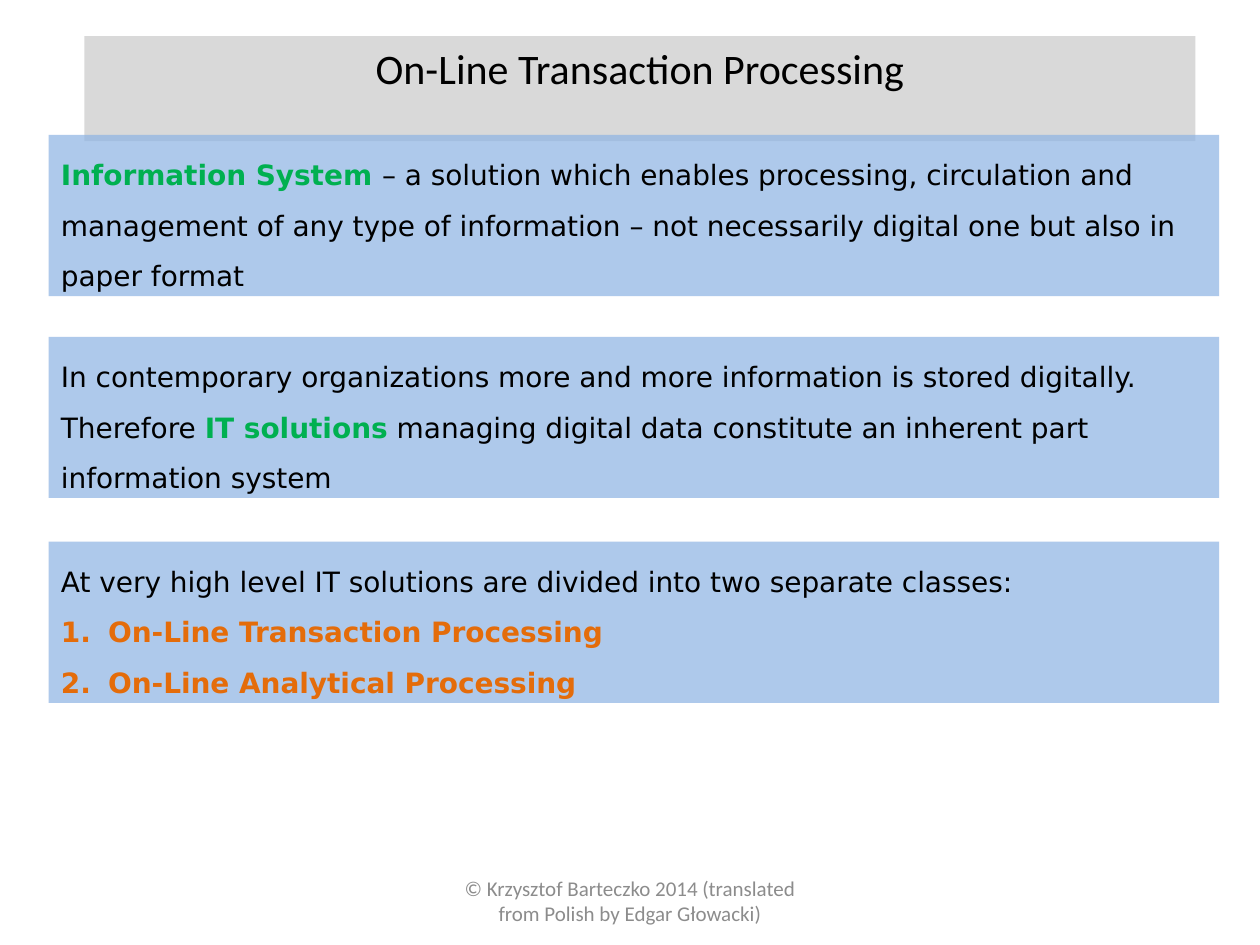
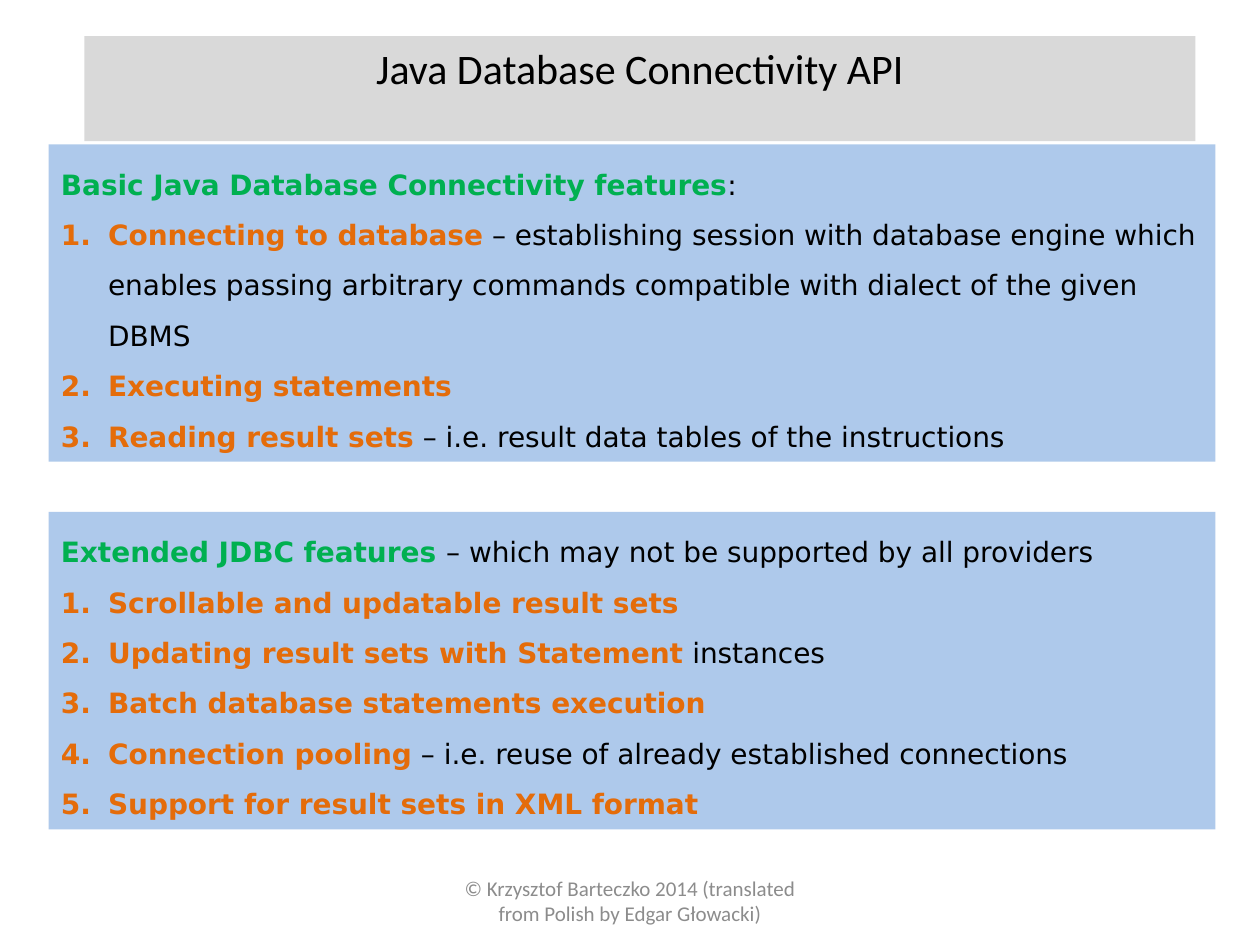
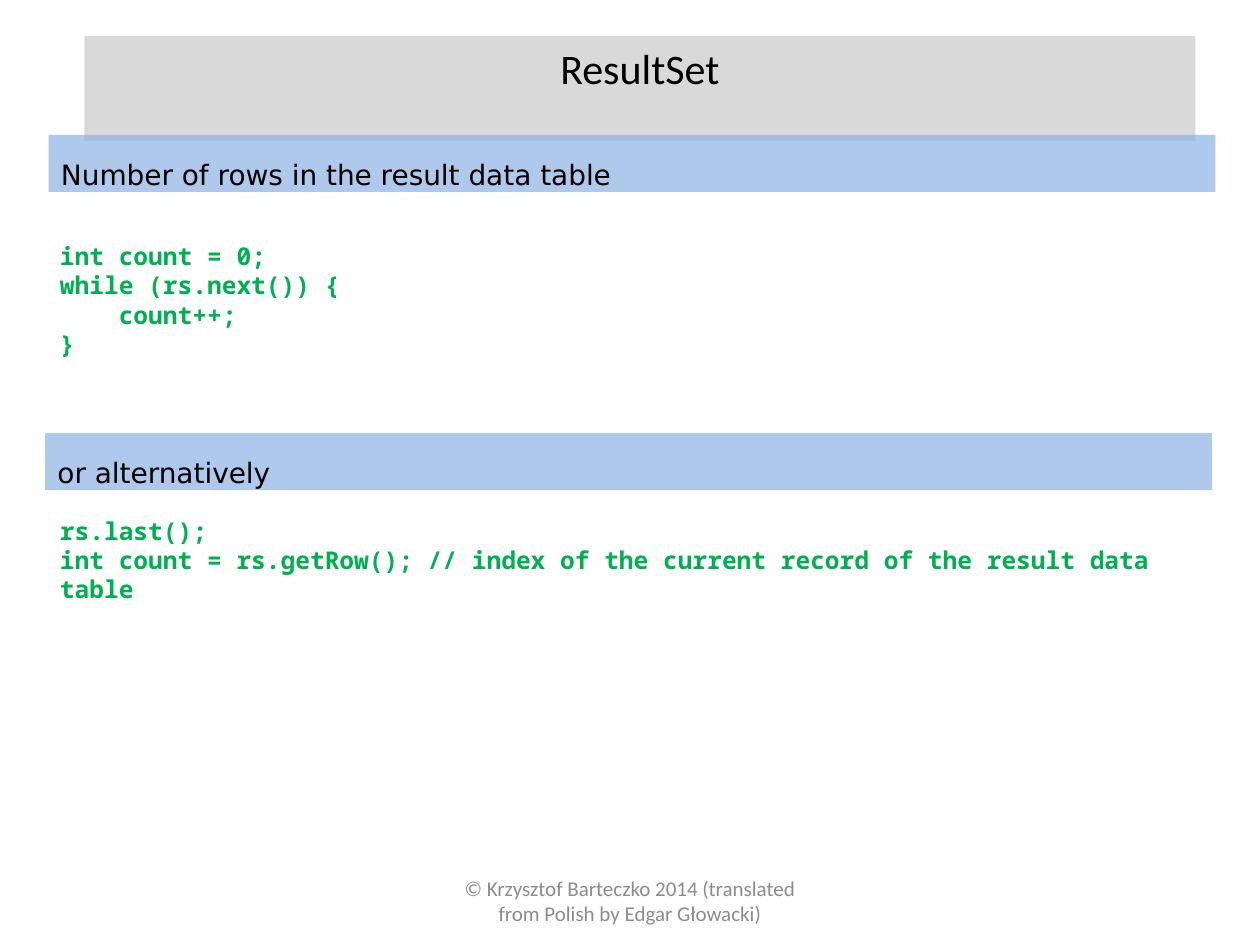
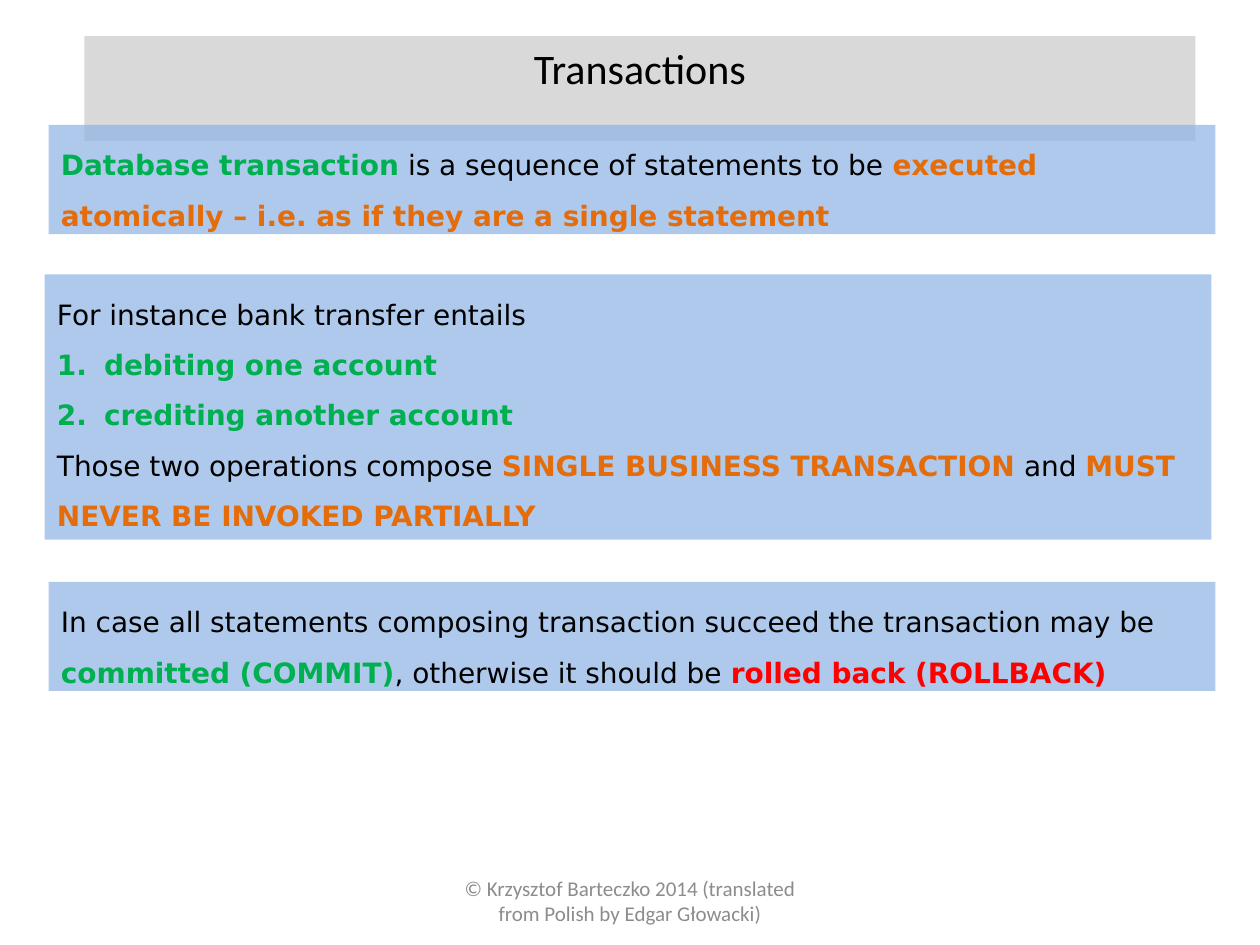
from dataclasses import dataclass
from typing import NamedTuple

from lxml.etree import SubElement
from pptx import Presentation
from pptx.dml.color import RGBColor
from pptx.enum.shapes import MSO_SHAPE
from pptx.enum.text import MSO_ANCHOR, MSO_AUTO_SIZE, PP_ALIGN
from pptx.oxml.ns import qn
from pptx.util import Cm, Pt


@dataclass(frozen=True)
class Theme:
    ink: str = "000000"
    term: str = "00B050"
    key: str = "E46C0A"
    warning: str = "FF0000"
    muted: str = "8C8C8C"
    title_band: str = "D9D9D9"
    panel: str = "8EB4E3"
    panel_alpha: int = 71
    title_font: str = "Calibri"
    body_font: str = "DejaVu Sans"
    code_font: str = "Noto Sans Mono"
    title_size: int = 24
    body_size: int = 16
    code_size: int = 14
    footer_size: int = 12
    line_spacing: float = 1.5
    indent: float = 0.95


class Box(NamedTuple):
    """Place of a region in centimetres."""
    left: float
    top: float
    width: float
    height: float

    def lengths(self):
        return [Cm(value) for value in self]


class Numbered(list):
    """Runs of a paragraph in a numbered list."""


THEME = Theme()
TITLE_BOX = Box(1.7, 0.73, 22.4, 1.28)
FOOTER_BOX = Box(8.68, 17.65, 8.04, 1.02)
FOOTER = "© Krzysztof Barteczko 2014 (translated from Polish by Edgar Głowacki)"
PANEL_LEFT = 0.98
PANEL_WIDTH = 23.52


def style(run, font, size, color, bold=False):
    run.font.name = font
    run.font.size = Pt(size)
    run.font.bold = bold
    run.font.color.rgb = RGBColor.from_string(color)


def place(region, box):
    region.left, region.top, region.width, region.height = box.lengths()


# Runs of a paragraph: (words, colour); every colour but ink is bold
def plain(words):
    return words, THEME.ink


def term(words):
    return words, THEME.term


def key(words):
    return words, THEME.key


def warning(words):
    return words, THEME.warning


# Parts shared by all slides
def add_title(slide, words, box=TITLE_BOX):
    title = slide.shapes.title
    place(title, box)
    title.fill.solid()
    title.fill.fore_color.rgb = RGBColor.from_string(THEME.title_band)
    frame = title.text_frame
    frame.text = words
    frame.word_wrap = True
    frame.vertical_anchor = MSO_ANCHOR.TOP
    frame.auto_size = MSO_AUTO_SIZE.SHAPE_TO_FIT_TEXT
    heading = frame.paragraphs[0]
    heading.alignment = PP_ALIGN.CENTER
    style(heading.runs[0], THEME.title_font, THEME.title_size, THEME.ink)


def add_footer(slide, box=FOOTER_BOX):
    frame = slide.shapes.add_textbox(*box.lengths()).text_frame
    frame.text = FOOTER
    frame.word_wrap = True
    frame.vertical_anchor = MSO_ANCHOR.MIDDLE
    credit = frame.paragraphs[0]
    credit.alignment = PP_ALIGN.CENTER
    style(credit.runs[0], THEME.title_font, THEME.footer_size, THEME.muted)


def number(paragraph):
    properties = paragraph._p.get_or_add_pPr()
    properties.set("marL", str(Cm(THEME.indent)))
    properties.set("indent", str(-Cm(THEME.indent)))
    SubElement(properties, qn("a:buFont"), typeface="+mj-lt")
    SubElement(properties, qn("a:buAutoNum"), type="arabicPeriod")


# Tinted panel, as tall as its number of text lines
def add_panel(slide, top, lines, content, left=PANEL_LEFT, width=PANEL_WIDTH):
    box = Box(left, top, width, 1.05 * lines + 0.1)
    panel = slide.shapes.add_shape(MSO_SHAPE.RECTANGLE, *box.lengths())
    panel.shadow.inherit = False
    panel.line.fill.background()
    panel.fill.solid()
    panel.fill.fore_color.rgb = RGBColor.from_string(THEME.panel)
    tint = panel._element.spPr.find(f"{qn('a:solidFill')}/{qn('a:srgbClr')}")
    SubElement(tint, qn("a:alpha"), val=str(THEME.panel_alpha * 1000))

    frame = panel.text_frame
    frame.word_wrap = True
    frame.vertical_anchor = MSO_ANCHOR.TOP
    frame.auto_size = MSO_AUTO_SIZE.SHAPE_TO_FIT_TEXT
    for index, runs in enumerate(content):
        paragraph = frame.add_paragraph() if index else frame.paragraphs[0]
        if isinstance(runs, Numbered):
            number(paragraph)
        paragraph.alignment = PP_ALIGN.LEFT
        paragraph.line_spacing = THEME.line_spacing
        for words, color in runs:
            run = paragraph.add_run()
            run.text = words
            style(run, THEME.body_font, THEME.body_size, color, color != THEME.ink)


def add_code(slide, box, code):
    frame = slide.shapes.add_textbox(*box.lengths()).text_frame
    frame.text = code
    frame.word_wrap = True
    frame.auto_size = MSO_AUTO_SIZE.SHAPE_TO_FIT_TEXT
    for line in frame.paragraphs:
        style(line.runs[0], THEME.code_font, THEME.code_size, THEME.term, True)


def start_slide(deck, title):
    slide = deck.slides.add_slide(deck.slide_layouts[5])
    add_title(slide, title)
    add_footer(slide)
    return slide


# Slides
def build_processing(deck):
    slide = start_slide(deck, "On-Line Transaction Processing")
    definition = [[
        term("Information System "),
        plain("– a solution which enables processing, circulation and management of any "
              "type of information – not necessarily digital one but also in paper format"),
    ]]
    digital_storage = [
        [plain("In contemporary organizations more and more information is stored digitally.")],
        [plain("Therefore "), term("IT solutions"),
         plain(" managing digital data constitute an inherent part information system")],
    ]
    classes = [
        [plain("At very high level IT solutions are divided into two separate classes:")],
        Numbered([key("On-Line Transaction Processing")]),
        Numbered([key("On-Line Analytical Processing")]),
    ]
    for top, content in ((2.72, definition), (6.79, digital_storage), (10.92, classes)):
        add_panel(slide, top, 3, content, width=23.6)


def build_connectivity(deck):
    slide = start_slide(deck, "Java Database Connectivity API")
    add_panel(slide, 2.91, 6, [
        [term("Basic Java Database Connectivity features"), plain(":")],
        Numbered([key("Connecting to database"),
                  plain(" – establishing session with database engine which enables passing "
                        "arbitrary commands compatible with dialect of the given DBMS")]),
        Numbered([key("Executing statements")]),
        Numbered([key("Reading result sets"),
                  plain(" – i.e. result data tables of the instructions")]),
    ])
    add_panel(slide, 10.32, 6, [
        [term("Extended JDBC features "),
         plain("– which may not be supported by all providers")],
        Numbered([key("Scrollable and updatable result sets")]),
        Numbered([key("Updating result sets with Statement"), plain(" instances")]),
        Numbered([key("Batch database statements execution")]),
        Numbered([key("Connection pooling"),
                  plain(" – i.e. reuse of already established connections")]),
        Numbered([key("Support for result sets in XML format")]),
    ])


def build_result_set(deck):
    slide = start_slide(deck, "ResultSet")
    add_panel(slide, 2.72, 1, [[plain("Number of rows in the result data table")]])
    add_code(slide, Box(0.96, 4.73, PANEL_WIDTH, 2.64),
             "int count = 0;\nwhile (rs.next()) {\n    count++;\n}")
    add_panel(slide, 8.73, 1, [[plain("or alternatively")]], left=0.91)
    add_code(slide, Box(0.96, 10.27, PANEL_WIDTH, 1.45),
             "rs.last();\n"
             "int count = rs.getRow(); // index of the current record of the result data table")


def build_transactions(deck):
    slide = start_slide(deck, "Transactions")
    add_panel(slide, 2.52, 2, [[
        term("Database transaction"),
        plain(" is a sequence of statements to be "),
        key("executed atomically – i.e. as if they are a single statement"),
    ]])
    add_panel(slide, 5.53, 5, [
        [plain("For instance bank transfer entails")],
        Numbered([term("debiting one account")]),
        Numbered([term("crediting another account")]),
        [plain("Those two operations compose "), key("SINGLE BUSINESS TRANSACTION"),
         plain(" and "), key("MUST NEVER BE INVOKED PARTIALLY")],
    ], left=0.9)
    add_panel(slide, 11.73, 2, [[
        plain("In case all statements composing transaction succeed the transaction may be "),
        term("committed (COMMIT)"),
        plain(", otherwise it should be "),
        warning("rolled back (ROLLBACK)"),
    ]])


def main():
    deck = Presentation()
    deck.slide_width, deck.slide_height = Cm(25.4), Cm(19.05)
    for build in (build_processing, build_connectivity, build_result_set, build_transactions):
        build(deck)
    deck.save("out.pptx")


if __name__ == "__main__":
    main()
